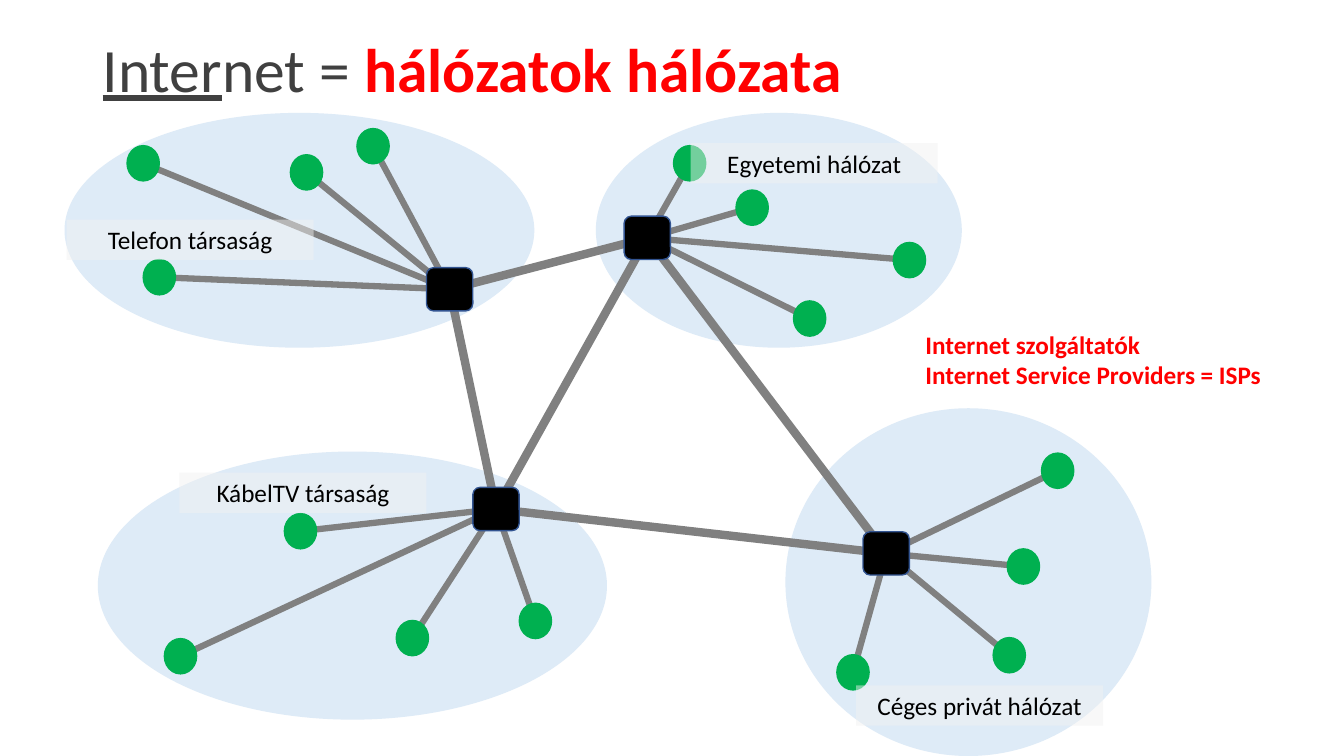
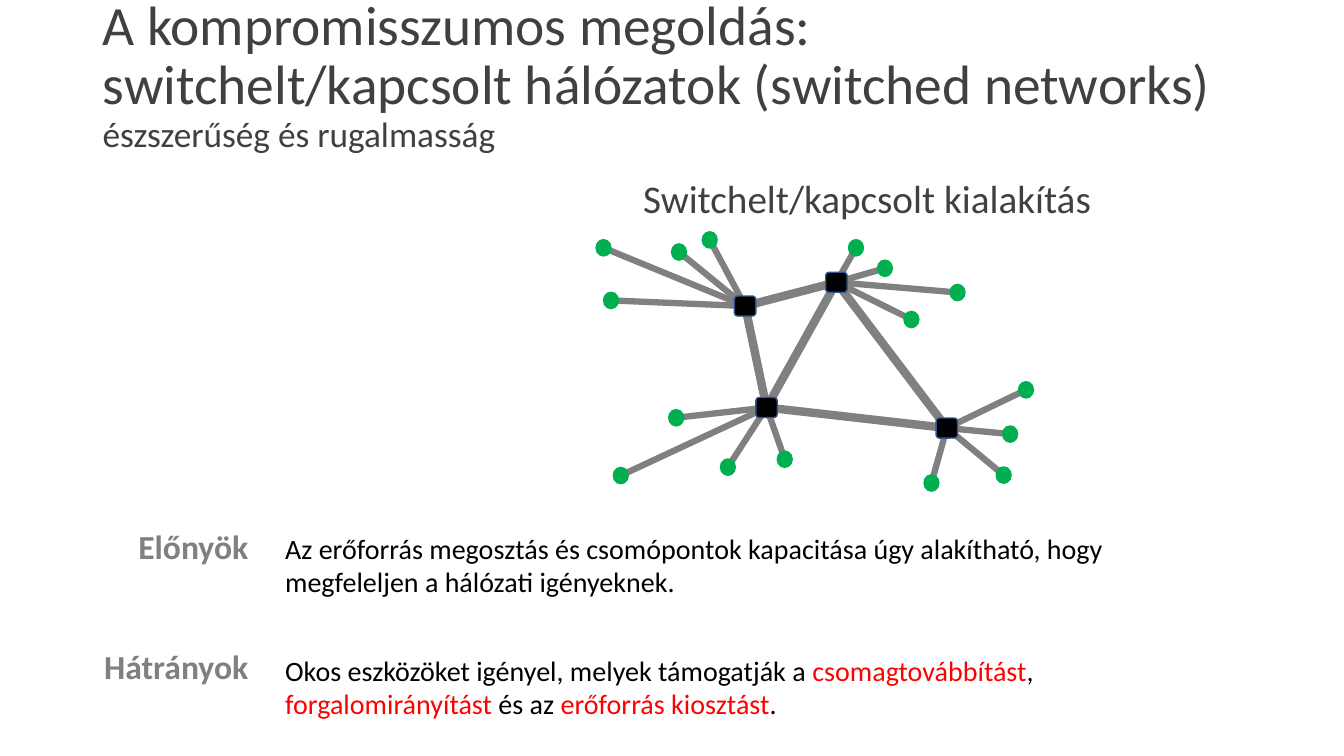
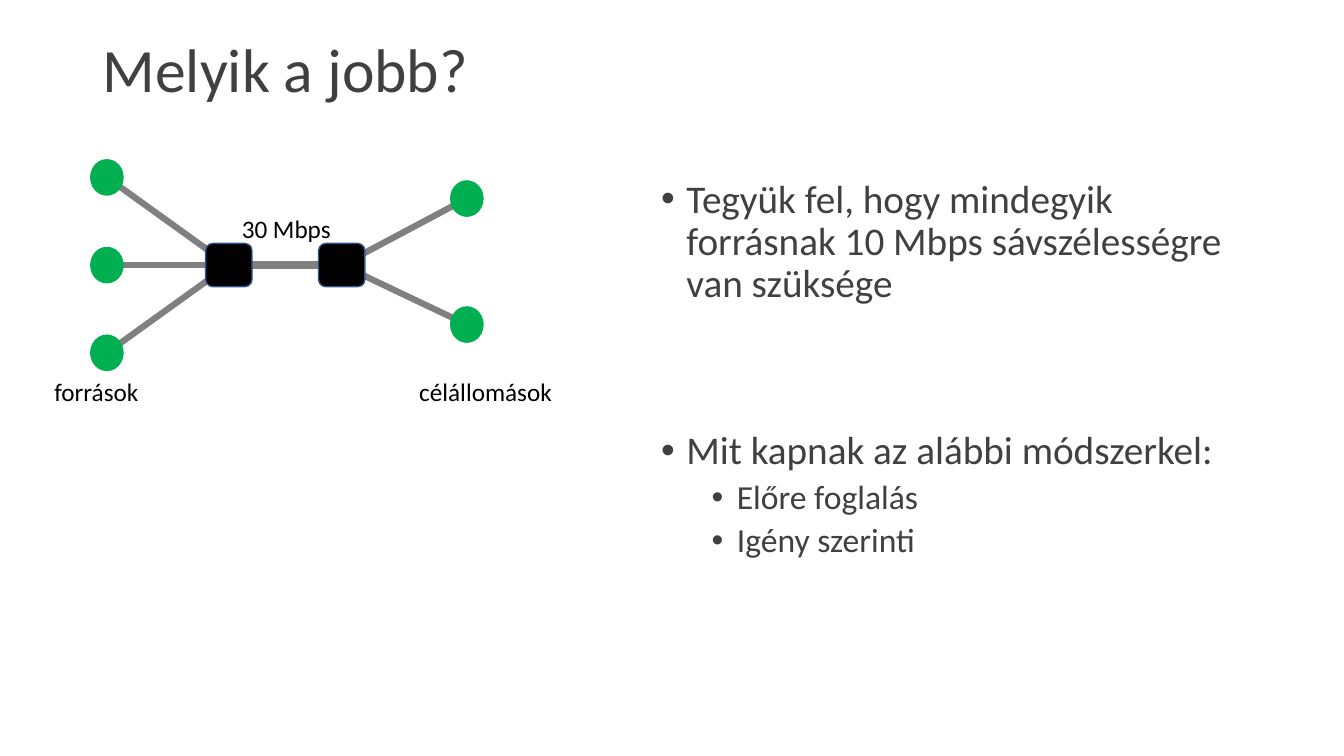
from lxml import etree
from pptx import Presentation
from pptx.dml.color import RGBColor
from pptx.enum.shapes import MSO_CONNECTOR, MSO_SHAPE
from pptx.enum.text import MSO_ANCHOR, PP_ALIGN
from pptx.oxml.ns import qn
from pptx.util import Emu, Pt

EMU_PER_PX = 9144  # 100 px to the inch
FONT = "Calibri"
DARK, BLACK, RED, GRAY = "404040", "000000", "FF0000", "808080"
GREEN, HUB_EDGE, CLOUD, VEIL = "00B050", "325491", "DEEBF7", "F2F2F2"
VEIL_ALPHA = 48
OVAL, ROUNDED, RECT = MSO_SHAPE.OVAL, MSO_SHAPE.ROUNDED_RECTANGLE, MSO_SHAPE.RECTANGLE
CENTER, RIGHT = PP_ALIGN.CENTER, PP_ALIGN.RIGHT
TOP, MIDDLE = MSO_ANCHOR.TOP, MSO_ANCHOR.MIDDLE

HUB_SIZE, HOST_SIZE = (46, 43), (32, 35)
TRUNK_PT, BRANCH_PT = 6, 4.5
TITLE_TOP = -1

# Each network: hub centre with the centres of its hosts, then hub pairs
INTERNET = {
    "hubs": [
        ((446, 287), [(142, 162), (158, 275), (304, 171), (370, 145)]),
        ((642, 236), [(684, 162), (746, 206), (902, 258), (803, 316)]),
        ((492, 505), [(298, 527), (179, 651), (409, 633), (531, 616)]),
        ((879, 549), [(846, 667), (1001, 650), (1015, 562), (1049, 467)]),
    ],
    "trunks": [(0, 1), (0, 2), (2, 1), (2, 3), (1, 3)],
}
SHARED_LINK = {
    "hubs": [
        ((227, 263), [(106, 176), (106, 263), (106, 350)]),
        ((339, 263), [(463, 197), (463, 322)]),
    ],
    "trunks": [(0, 1)],
}
CLOUDS = [(591, 112, 363, 233), (779, 405, 363, 345),
          (97, 448, 505, 266), (64, 112, 466, 233)]
PROVIDERS = [("Telefon társaság", 66, 218), ("KábelTV társaság", 178, 469),
             ("Egyetemi hálózat", 685, 142), ("Céges privát hálózat", 849, 680)]

INTERNET_TITLE = [("Inter", {"underline": True}), ("net = ", {}),
                  ("hálózatok hálózata", {"bold": True, "color": RED})]
SWITCHED_TITLE = [
    ("A kompromisszumos megoldás:\nswitchelt/kapcsolt hálózatok (switched networks)\n",
     {"size": Pt(39.6)}),
    ("észszerűség és rugalmasság", {"size": Pt(25.2)}),
]
ISP_LINES = ["Internet szolgáltatók", "Internet Service Providers = ISPs"]
PROS = [("Az erőforrás megosztás és csomópontok kapacitása úgy alakítható, hogy "
         "megfeleljen a hálózati igényeknek.", {})]
HOT = {"color": RED}
CONS = [("Okos eszközöket igényel, melyek támogatják a ", {}), ("csomagtovábbítást", HOT),
        (", ", {}), ("forgalomirányítást", HOT), (" és az ", {}),
        ("erőforrás kiosztást", HOT), (".", {})]
# text, level, points before
QUESTIONS = [
    ("Tegyük fel, hogy mindegyik forrásnak 10 Mbps sávszélességre van szüksége", 0, 0),
    ("Mit kapnak az alábbi módszerkel:", 0, 89),
    ("Előre foglalás", 1, 5),
    ("Igény szerinti", 1, 5),
]
LEVELS = [{"size": 28, "indent": 25}, {"size": 24, "indent": 75}]
HANGING = 25
LINK_LABELS = [("források", (44, 368, 147, 40), None),
               ("célállomások", (406, 368, 166, 40), None),
               ("30 Mbps", (221, 207, 126, 40), CENTER)]


def px(value):
    return Emu(round(value * EMU_PER_PX))


def rgb(color):
    return RGBColor.from_string(color)


def add_figure(slide, kind, box, fill, edge=None, alpha=None):
    figure = slide.shapes.add_shape(kind, *map(px, box))
    figure.shadow.inherit = False
    figure.fill.solid()
    figure.fill.fore_color.rgb = rgb(fill)
    if alpha:
        solid = figure._element.spPr.find(qn("a:solidFill"))
        etree.SubElement(solid[0], qn("a:alpha"), val=str(alpha * 1000))
    if edge:
        figure.line.color.rgb = rgb(edge)
        figure.line.width = Pt(1)
    else:
        figure.line.fill.background()
    return figure


def add_link(slide, start, end, width):
    link = slide.shapes.add_connector(MSO_CONNECTOR.STRAIGHT, *map(px, (*start, *end)))
    link.line.color.rgb = rgb(GRAY)
    link.line.width = Pt(width)
    etree.SubElement(link._element.spPr, qn("a:effectLst"))


def write_runs(paragraph, runs, base):
    """Write (text, format) runs; a newline becomes a line break."""
    for text, changes in runs:
        for number, line in enumerate(text.split("\n")):
            if number:
                paragraph.add_line_break()
            if not line:
                continue
            run = paragraph.add_run()
            run.text = line
            look = {"name": FONT, **base, **changes}
            run.font.color.rgb = rgb(look.pop("color"))
            for attribute, value in look.items():
                setattr(run.font, attribute, value)


def fill_text(frame, paragraphs, size, color, anchor=TOP, **base):
    """Fill a frame with (runs, paragraph format) pairs."""
    frame.word_wrap = True
    frame.vertical_anchor = anchor
    for number, (runs, layout) in enumerate(paragraphs):
        paragraph = frame.add_paragraph() if number else frame.paragraphs[0]
        layout = dict(layout)
        indent = layout.pop("bullet_indent", None)
        for attribute, value in layout.items():
            setattr(paragraph, attribute, value)
        if indent:
            properties = paragraph._p.get_or_add_pPr()
            properties.set("marL", str(px(indent)))
            properties.set("indent", str(px(-HANGING)))
            etree.SubElement(properties, qn("a:buFont"), typeface="Arial")
            etree.SubElement(properties, qn("a:buChar"), char="•")
        write_runs(paragraph, runs, {"size": Pt(size), "color": color, **base})


def add_text(slide, box, paragraphs, size, color, **options):
    fill_text(slide.shapes.add_textbox(*map(px, box)).text_frame,
              paragraphs, size, color, **options)


def add_title(slide, runs, top=TITLE_TOP):
    add_text(slide, (92, top, 1150, 145), [(runs, {"line_spacing": 0.9})],
             44, DARK, anchor=MIDDLE)


def add_network(slide, network, scale=1, origin=(0, 0)):
    def place(point):
        return tuple(start + scale * value for start, value in zip(origin, point))

    def add_node(kind, center, size, fill, edge):
        width, height = (scale * side for side in size)
        x, y = place(center)
        add_figure(slide, kind, (x - width / 2, y - height / 2, width, height), fill, edge)

    hubs = network["hubs"]
    for first, second in network["trunks"]:
        add_link(slide, place(hubs[first][0]), place(hubs[second][0]), TRUNK_PT)
    for hub, hosts in hubs:
        for host in hosts:
            add_link(slide, place(hub), place(host), BRANCH_PT)
    for hub, hosts in hubs:
        add_node(ROUNDED, hub, HUB_SIZE, BLACK, HUB_EDGE)
        for host in hosts:
            add_node(OVAL, host, HOST_SIZE, GREEN, GREEN)


def build_internet(slide):
    for cloud in CLOUDS:
        add_figure(slide, OVAL, cloud, CLOUD)
    add_title(slide, INTERNET_TITLE)
    add_network(slide, INTERNET)
    for provider, left, top in PROVIDERS:
        label = add_figure(slide, RECT, (left, top, 245, 40), VEIL, alpha=VEIL_ALPHA)
        fill_text(label.text_frame, [([(provider, {})], {"alignment": CENTER})], 18, BLACK)
    add_text(slide, (908, 322, 414, 71), [([(line, {})], {}) for line in ISP_LINES],
             18, RED, bold=True)


def build_switched(slide):
    add_title(slide, SWITCHED_TITLE, top=3)
    add_text(slide, (628, 173, 614, 55),
             [([("Switchelt/kapcsolt kialakítás", {})], {"line_spacing": 0.9})], 28, DARK)
    add_network(slide, INTERNET, scale=0.462, origin=(533, 171))
    add_text(slide, (4, 517, 252, 172),
             [([("Előnyök", {})], {"alignment": RIGHT}),
              ([("Hátrányok", {})], {"alignment": RIGHT, "space_before": Pt(57)})],
             24, GRAY, bold=True)
    for top, runs in ((522, PROS), (643, CONS)):
        add_text(slide, (273, top, 969, 77), [(runs, {})], 20, BLACK)


def build_comparison(slide):
    add_title(slide, [("Melyik a jobb?", {})])
    questions = []
    for text, level, before in QUESTIONS:
        look = LEVELS[level]
        questions.append(([(text, {"size": Pt(look["size"])})],
                          {"level": level, "line_spacing": 0.9, "space_before": Pt(before),
                           "bullet_indent": look["indent"]}))
    add_text(slide, (646, 173, 596, 502), questions, 28, DARK)
    add_network(slide, SHARED_LINK)
    for text, box, alignment in LINK_LABELS:
        add_text(slide, box, [([(text, {})], {"alignment": alignment})], 18, BLACK)


def main():
    deck = Presentation()
    deck.slide_width, deck.slide_height = px(1333), px(750)
    blank = deck.slide_layouts[6]
    for build in (build_internet, build_switched, build_comparison):
        build(deck.slides.add_slide(blank))
    deck.save("out.pptx")


if __name__ == "__main__":
    main()
